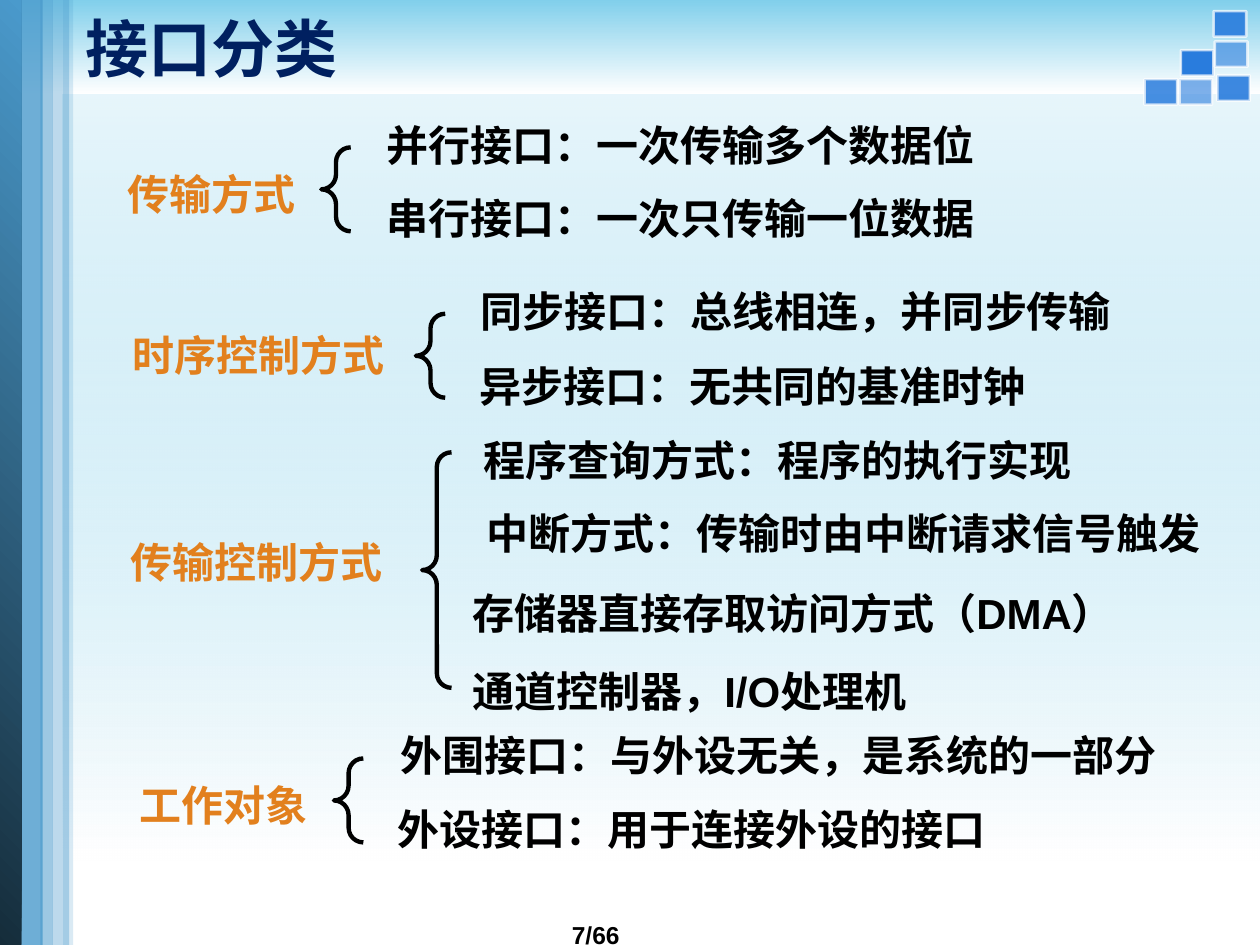
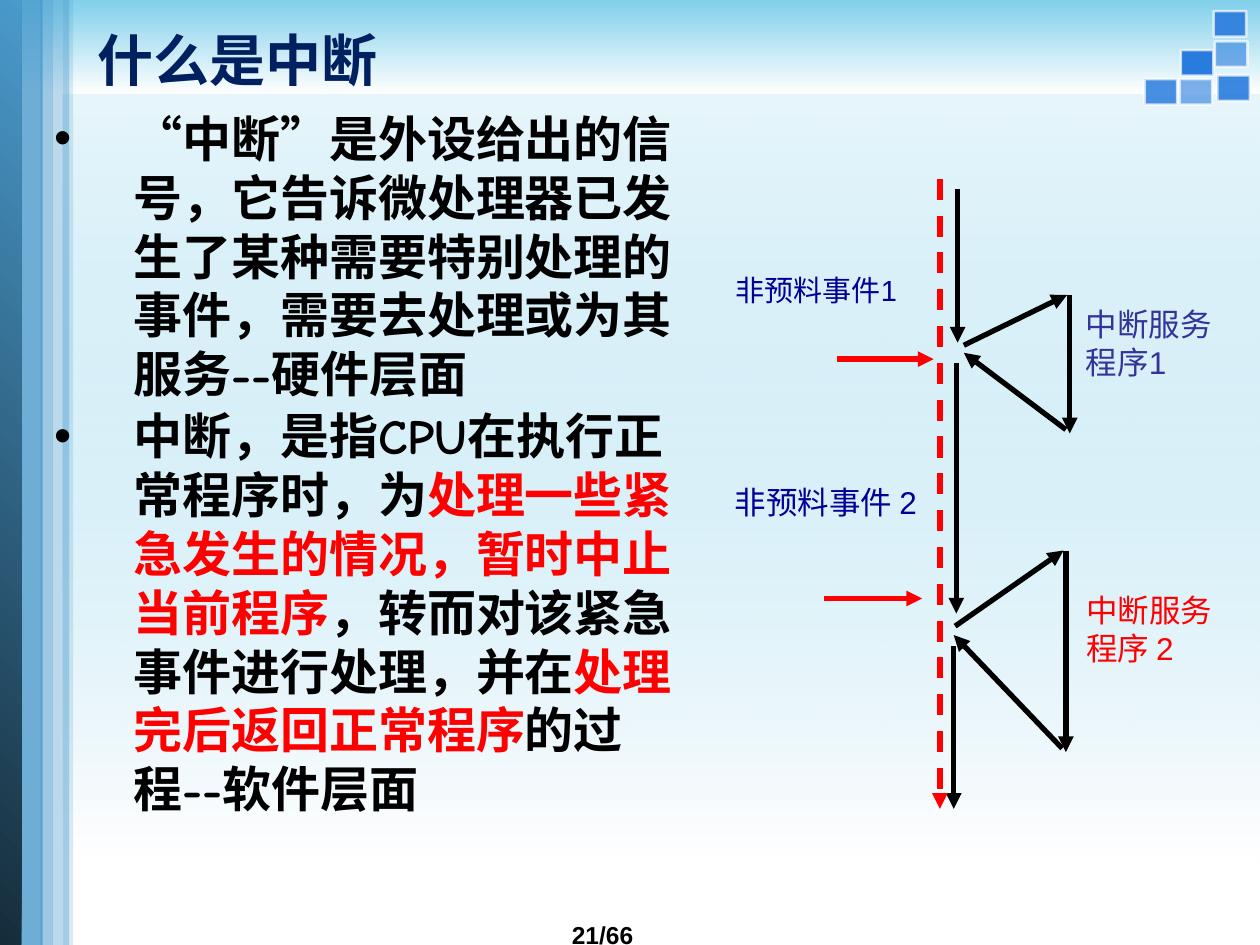
from dataclasses import dataclass, replace
from typing import Any, NamedTuple

from pptx import Presentation
from pptx.dml.color import RGBColor
from pptx.enum.dml import MSO_LINE
from pptx.enum.shapes import MSO_CONNECTOR, MSO_SHAPE
from pptx.enum.text import MSO_ANCHOR, MSO_AUTO_SIZE, PP_ALIGN
from pptx.oxml.ns import qn
from pptx.oxml.xmlchemy import OxmlElement
from pptx.util import Pt


@dataclass(frozen=True)
class Theme:
    ink: str = "000000"
    white: str = "FFFFFF"
    navy: str = "002060"
    orange: str = "E2801E"
    red: str = "FF0000"
    sky: str = "81CFEB"
    steel: str = "4A9ACC"
    deep: str = "152C3A"
    tile: str = "297CDD"
    event: str = "000099"
    routine: str = "333399"
    sans: str = "Arial"
    head: str = "Calibri"
    comic: str = "Comic Neue"
    han: str = "Noto Sans CJK SC"
    title: float = 36
    topic: float = 32
    page: float = 14
    small: float = 16.6
    note: float = 18
    item: float = 24
    body: float = 28


T = Theme()


class Box(NamedTuple):
    x: float
    y: float
    w: float
    h: float


class Band(NamedTuple):
    box: Box
    start: str
    end: str = ""
    angle: float = 0
    alpha: int = 100


@dataclass(frozen=True)
class Run:
    text: str
    size: float = T.note
    color: str = T.ink
    font: str = T.sans
    bold: bool = False


class Item(NamedTuple):
    text: str
    x: float
    y: float
    w: float


class Group(NamedTuple):
    label: Item
    brace: Box
    items: list[Item]


class Arrow(NamedTuple):
    x1: float
    y1: float
    x2: float
    y2: float
    color: str = T.ink
    dash: bool = False


BACK = [
    Band(Box(36, 54, 684, 437.76), T.sky, T.white, 270, 19),
    Band(Box(0, 0, 720, 54), T.sky, T.white, 270),
]
STRIPES = [
    Band(Box(7.92, 0, 16.56, 540), T.steel, alpha=80),
    Band(Box(-0.72, 0, 12.96, 542), T.deep, T.steel, 45),
    Band(Box(36, 0, 5.76, 542), T.steel, alpha=20),
    Band(Box(23.04, 0, 7.2, 541), T.steel, alpha=54),
    Band(Box(30.24, 0, 9.36, 542), T.steel, alpha=37),
]
TILES = [(697.6, 41, 90), (676, 43.2, 60), (656, 43.2, 85),
         (676.8, 26.6, 100), (696.2, 21.6, 60), (695.5, 4.3, 90)]
TILE_W, TILE_H = 14.6, 18.7
ROW_H = 36
BRACE_W = 16.8

GROUPS = [
    Group(Item("传输方式", 65.5, 92.9, 112), Box(183.6, 84.2, BRACE_W, 48), [
        Item("并行接口：一次传输多个数据位", 213.8, 64.8, 352),
        Item("串行接口：一次只传输一位数据", 213.8, 106.6, 352)]),
    Group(Item("时序控制方式", 68.4, 185, 160), Box(237.6, 179.3, BRACE_W, 48), [
        Item("同步接口：总线相连，并同步传输", 267.8, 159.8, 376),
        Item("异步接口：无共同的基准时钟", 267.1, 202.3, 328)]),
    Group(Item("传输控制方式", 67.7, 303.1, 160), Box(241.2, 258.5, BRACE_W, 134.6), [
        Item("程序查询方式：程序的执行实现", 269.3, 244.8, 352),
        Item("中断方式：传输时由中断请求信号触发", 270.7, 286.6, 424),
        Item("存储器直接存取访问方式（DMA）", 262.8, 331.9, 394),
        Item("通道控制器，I/O处理机", 262.8, 376.6, 280)]),
    Group(Item("工作对象", 72.7, 442.1, 112), Box(190.8, 433.4, BRACE_W, 48), [
        Item("外围接口：与外设无关，是系统的一部分", 221.8, 413.3, 448),
        Item("外设接口：用于连接外设的接口", 220.3, 455.8, 352)]),
]

SAY = Run("", T.body, T.ink, T.comic, True)
WARN = replace(SAY, color=T.red)
POINTS = [
    [replace(SAY, text="“中断”是外设给出的信号，它告诉微处理器已发生了某种需要特别处理的事件，"
                       "需要去处理或为其服务--硬件层面")],
    [replace(SAY, text="中断，是指CPU在执行正常程序时，为"),
     replace(WARN, text="处理一些紧急发生的情况，暂时中止当前程序"),
     replace(SAY, text="，转而对该紧急事件进行处理，并在"),
     replace(WARN, text="处理完后返回正常程序"),
     replace(SAY, text="的过程--软件层面")],
]

ARROWS = [
    Arrow(547.2, 108, 547.2, 195.8),
    Arrow(550.8, 197.3, 609.8, 168.5),
    Arrow(611.3, 168.5, 611.3, 247.7),
    Arrow(609.1, 245.5, 550.8, 201.6),
    Arrow(546.5, 207.4, 546.5, 350.6),
    Arrow(545, 369.4, 545, 462.2),
    Arrow(545.8, 357.8, 607.7, 314.6),
    Arrow(609.1, 314.6, 609.1, 429.8),
    Arrow(607, 427.7, 545, 362.9),
    Arrow(478.1, 205.2, 533.5, 205.2, T.red),
    Arrow(470.9, 342, 527, 342, T.red),
    Arrow(537.1, 102.2, 537.1, 462.2, T.red, True),
]

NOTES = [
    (Box(620.6, 174.2, 72, 67.7), {}, [
        Run("中断服务程序", T.note, T.routine, T.han),
        Run("1", T.note, T.routine)]),
    (Box(620.6, 337.7, 75.6, 67.7), {}, [Run("中断服务程序 2", T.note, T.red)]),
    (Box(415.4, 157.7, 102.2, 40.3), {"alignment": PP_ALIGN.CENTER, "line_spacing": 0.9}, [
        Run("非预料事件", T.small, T.event, T.han),
        Run("1", T.small, T.event)]),
    (Box(415.4, 275.8, 113, 59.8), {"alignment": PP_ALIGN.CENTER}, [
        Run("非预料事件 2", T.note, T.event)]),
]


def apply(target: Any, values: dict[str, Any]) -> None:
    for name, value in values.items():
        setattr(target, name, value)


def rgb(code: str) -> RGBColor:
    return RGBColor.from_string(code)


def place(box: Box) -> list[Pt]:
    return [Pt(n) for n in box]


def pads(side: float, top: float) -> dict[str, Any]:
    return {"margin_left": Pt(side), "margin_right": Pt(side),
            "margin_top": Pt(top), "margin_bottom": Pt(top)}


def fade(shape: Any, *alphas: int) -> None:
    """Give the shape's colours, in drawing order, their opacity in percent."""
    for color, alpha in zip(shape._element.spPr.iter(qn("a:srgbClr")), alphas):
        if alpha < 100:
            node = OxmlElement("a:alpha")
            node.set("val", str(alpha * 1000))
            color.append(node)


def add_form(slide: Any, kind: MSO_SHAPE, box: Box) -> Any:
    shape = slide.shapes.add_shape(kind, *place(box))
    shape.shadow.inherit = False
    return shape


def add_band(slide: Any, band: Band) -> None:
    shape = add_form(slide, MSO_SHAPE.RECTANGLE, band.box)
    shape.line.fill.background()
    if band.end:
        shape.fill.gradient()
        shape.fill.gradient_angle = band.angle
        for stop, code in zip(shape.fill.gradient_stops, (band.start, band.end)):
            stop.color.rgb = rgb(code)
    else:
        shape.fill.solid()
        shape.fill.fore_color.rgb = rgb(band.start)
    fade(shape, band.alpha)


def add_tile(slide: Any, x: float, y: float, alpha: int) -> None:
    shape = add_form(slide, MSO_SHAPE.RECTANGLE, Box(x, y, TILE_W, TILE_H))
    shape.rotation = 90
    shape.fill.solid()
    shape.fill.fore_color.rgb = rgb(T.tile)
    shape.line.color.rgb = rgb(T.white)
    shape.line.width = Pt(1.5)
    fade(shape, alpha, 70)


def write(para: Any, runs: list[Run]) -> None:
    for run in runs:
        part = para.add_run()
        part.text = run.text
        apply(part.font, {"size": Pt(run.size), "bold": run.bold, "name": run.font})
        part.font.color.rgb = rgb(run.color)
        part._r.get_or_add_rPr().set("lang", "zh-CN")


def add_text(slide: Any, box: Box, runs: list[Run], frame: dict[str, Any],
             para: dict[str, Any]) -> Any:
    text = slide.shapes.add_textbox(*place(box)).text_frame
    apply(text, frame)
    apply(text.paragraphs[0], para)
    write(text.paragraphs[0], runs)
    return text


def add_row(slide: Any, item: Item, color: str, size: float = T.item,
            high: float = ROW_H) -> None:
    """Place one unwrapped bold line."""
    frame = {"word_wrap": False, "auto_size": MSO_AUTO_SIZE.SHAPE_TO_FIT_TEXT, **pads(7.2, 3.6)}
    add_text(slide, Box(item.x, item.y, item.w, high),
             [Run(item.text, size, color, bold=True)], frame, {})


def add_brace(slide: Any, box: Box) -> None:
    shape = add_form(slide, MSO_SHAPE.LEFT_BRACE, box)
    shape.adjustments[0] = 0.5
    shape.fill.background()
    shape.line.color.rgb = rgb(T.ink)
    shape.line.width = Pt(2.5)


def add_arrow(slide: Any, arrow: Arrow) -> None:
    ends = [Pt(n) for n in arrow[:4]]
    link = slide.shapes.add_connector(MSO_CONNECTOR.STRAIGHT, *ends)
    link.line.color.rgb = rgb(arrow.color)
    link.line.width = Pt(3)
    if arrow.dash:
        link.line.dash_style = MSO_LINE.DASH
    tip = OxmlElement("a:tailEnd")
    tip.set("type", "triangle")
    link.line._get_or_add_ln().append(tip)
    link._element.spPr.append(OxmlElement("a:effectLst"))


def add_mark(para: Any) -> None:
    """Give the paragraph a black bullet and a hanging indent."""
    props = para._p.get_or_add_pPr()
    props.set("marL", str(Pt(45.36)))
    props.set("indent", str(Pt(-45.36)))
    tint, code, face, mark = (OxmlElement(tag) for tag in
                              ("a:buClr", "a:srgbClr", "a:buFont", "a:buChar"))
    code.set("val", T.ink)
    tint.append(code)
    face.set("typeface", T.sans)
    mark.set("char", "•")
    props.extend([tint, face, mark])


def add_slide(deck: Any, title: str, size: float, box: Box, page: str) -> Any:
    slide = deck.slides.add_slide(deck.slide_layouts[5])
    for band in BACK:
        add_band(slide, band)
    for tile in TILES:
        add_tile(slide, *tile)
    for band in STRIPES:
        add_band(slide, band)
    add_row(slide, Item(page, 319.7, 522, 101.5), T.ink, T.page, 24.5)
    head = slide.shapes.title
    slide.shapes._spTree.append(head._element)
    apply(head, dict(zip(("left", "top", "width", "height"), place(box))))
    apply(head.text_frame, {"vertical_anchor": MSO_ANCHOR.MIDDLE, "word_wrap": True,
                            "auto_size": MSO_AUTO_SIZE.NONE, **pads(7.2, 3.6)})
    para = head.text_frame.paragraphs[0]
    para.alignment = PP_ALIGN.LEFT
    write(para, [Run(title, size, T.navy, T.head, True)])
    return slide


def add_kinds(deck: Any) -> None:
    slide = add_slide(deck, "接口分类", T.title, Box(41.76, 0, 678.24, 54), "7/66")
    for group in GROUPS:
        for item in group.items:
            add_row(slide, item, T.ink)
        add_row(slide, group.label, T.orange)
        add_brace(slide, group.brace)


def add_break(deck: Any) -> None:
    slide = add_slide(deck, "什么是中断", T.topic, Box(48.24, 12.24, 594, 43.2), "21/66")
    frame = {"word_wrap": True, **pads(0, 0)}
    text = add_text(slide, Box(30.96, 61.92, 367.92, 450), POINTS[0], frame, {})
    add_mark(text.paragraphs[0])
    for runs in POINTS[1:]:
        para = text.add_paragraph()
        add_mark(para)
        para.space_before = Pt(1.8)
        write(para, runs)
    for box, para, runs in NOTES:
        add_text(slide, box, runs, frame, para)
    for arrow in ARROWS:
        add_arrow(slide, arrow)


def main() -> None:
    deck = Presentation()
    deck.slide_width, deck.slide_height = Pt(720), Pt(540)
    add_kinds(deck)
    add_break(deck)
    deck.save("out.pptx")


if __name__ == "__main__":
    main()
